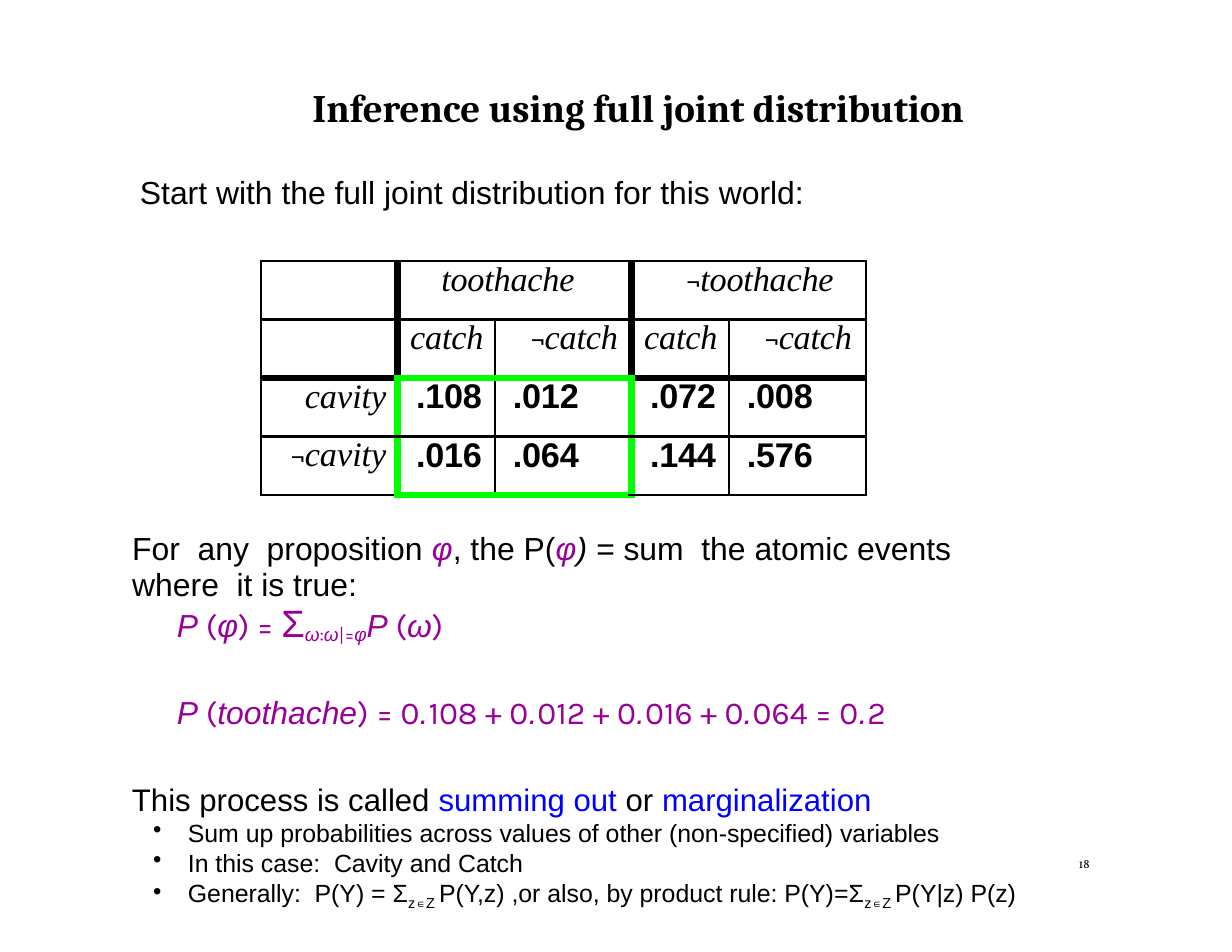
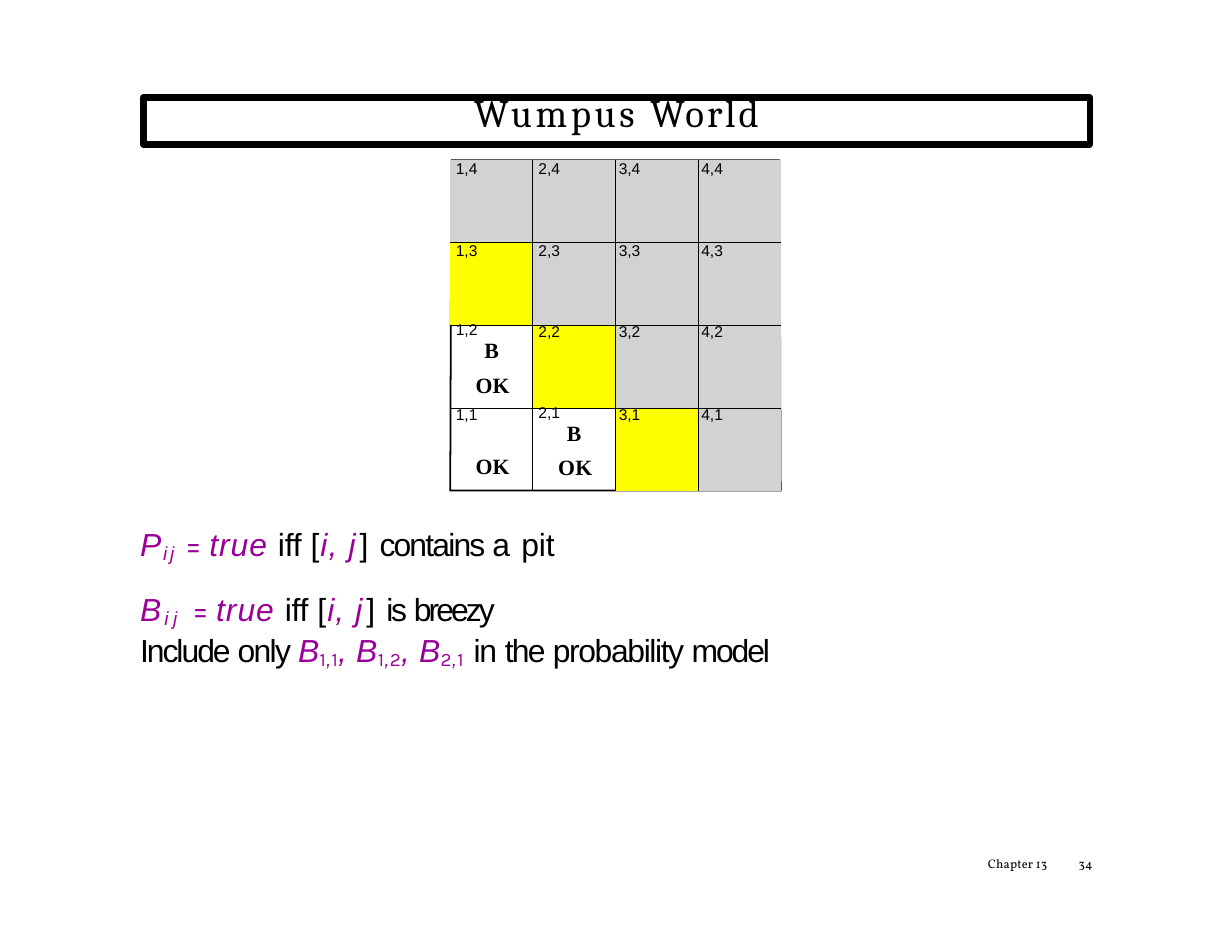
import pptx
import pptx.util
import pptx.dml.color
import pptx.enum.shapes
import pptx.enum.text
import pptx.oxml.ns
from lxml import etree

Inches = pptx.util.Inches
Pt = pptx.util.Pt
RGBColor = pptx.dml.color.RGBColor
ALIGN = pptx.enum.text.PP_ALIGN

BLACK = RGBColor(0x00, 0x00, 0x00)
PURPLE = RGBColor(0x99, 0x00, 0x99)
BLUE = RGBColor(0x00, 0x00, 0xFF)
GREEN = RGBColor(0x00, 0xFF, 0x00)
YELLOW = RGBColor(0xFF, 0xFF, 0x00)
GREY = RGBColor(0xD2, 0xD2, 0xD2)

TITLE = dict(font="Cambria", size=25)
FOOTER = dict(font="Vollkorn", size=8)
BODY = dict(font="Arial", size=20.5)
VAR = BODY | dict(color=PURPLE, italic=True)
MATH = BODY | dict(font="Karla", color=PURPLE)
SUB = VAR | dict(size=21, base=-14)
SUB_MATH = MATH | dict(size=21, base=-14)
INDEX = VAR | dict(size=21, base=-12)
INDEX_NUM = MATH | dict(size=21, base=-12, spc=0.2)
CLOSING = dict(font="Arial", size=20)
BULLET = dict(font="Arial", size=16)
BULLET_SUB = BULLET | dict(base=-25)
BULLET_IN = BULLET_SUB | dict(size=12)
NAME = dict(font="Times New Roman", size=22, italic=True, spc=-0.1)
NOT = dict(font="Calibri", size=18)
PROB = dict(font="Arial", size=22, bold=True, spc=-0.1)
ROOM = dict(font="Arial", size=10)
MARK = dict(font="Times New Roman", size=14, bold=True)


def add_run(p, text, font, size, color=BLACK, bold=False, italic=False, spc=0, base=0):
    """Append one styled run to a paragraph."""
    r = p.add_run()
    r.text = text
    r.font.name, r.font.size = font, Pt(size)
    r.font.bold, r.font.italic = bold, italic
    r.font.color.rgb = color
    rPr = r.font._element
    if spc:
        rPr.set("spc", str(round(spc * 100)))
    if base:
        rPr.set("baseline", str(base * 1000))


def add_para(tf, runs, left=0, hang=0, align=ALIGN.LEFT, line=None, before=0, bullet=None):
    """Fill the first empty paragraph, or add one, with (text, style) runs."""
    p = tf.paragraphs[0]
    if p.runs:
        p = tf.add_paragraph()
    p.alignment = align
    p.space_before = Pt(before)
    if line:
        p.line_spacing = Pt(line)
    pPr = p._p.get_or_add_pPr()
    pPr.set("marL", str(Inches(left)))
    pPr.set("indent", str(Inches(hang)))
    if bullet:
        etree.SubElement(pPr, pptx.oxml.ns.qn("a:buChar")).set("char", bullet)
    for text, style in runs:
        add_run(p, text, **style)


def set_insets(target, x=0, y=0):
    """Set the inner margins of a text frame or a cell."""
    target.margin_left = target.margin_right = Inches(x)
    target.margin_top = target.margin_bottom = Inches(y)


def add_text(s, box, inset_x=0, inset_y=0):
    """Add a wrapping text box and return its text frame."""
    tf = s.shapes.add_textbox(*map(Inches, box)).text_frame
    tf.word_wrap = True
    set_insets(tf, inset_x, inset_y)
    return tf


def add_footer(s, number, spc=0, chapter=None):
    """Place the page number and an optional chapter label."""
    add_para(add_text(s, (9.6, 7.66, 0.3, 0.14)), [(number, FOOTER | dict(spc=spc))], left=0.03, line=8.6)
    if chapter:
        add_para(add_text(s, (8.81, 7.66, 0.7, 0.14)), [(chapter, FOOTER | dict(spc=0.1))], left=0.01, line=8.6)


def add_plain_table(s, box, widths, rows):
    """Add a table without style bands or cell margins."""
    table = s.shapes.add_table(rows, len(widths), *map(Inches, box)).table
    table.first_row = table.horz_banding = False
    for col, width in zip(table.columns, widths):
        col.width = Inches(width)
    for row in table.rows:
        row.height = Inches(box[3] / rows)
    for cell in table.iter_cells():
        set_insets(cell)
    return table


def set_borders(cell, edges):
    """Draw left, right, top and bottom edges given as (colour, width) or None."""
    qn = pptx.oxml.ns.qn
    tcPr = cell._tc.get_or_add_tcPr()
    for side, edge in zip("LRTB", edges):
        ln = etree.SubElement(tcPr, qn("a:ln" + side))
        if edge is None:
            etree.SubElement(ln, qn("a:noFill"))
            continue
        color, width = edge
        ln.set("w", str(Pt(width)))
        fill = etree.SubElement(ln, qn("a:solidFill"))
        etree.SubElement(fill, qn("a:srgbClr")).set("val", str(color))


def joint_edge(line, other, heavy, green_lines, green_span):
    """Choose colour and width of one edge of the joint table."""
    if line in green_lines and other in green_span:
        return GREEN, 4.71
    return BLACK, 4.71 if line in heavy else 1.57


def joint_table(s, box):
    """Build the joint distribution with the summed cells framed in green."""
    table = add_plain_table(s, box, [1.22, 0.87, 1.22, 0.87, 1.22], 4)
    for c in (1, 3):
        table.cell(0, c).merge(table.cell(0, c + 1))
    for r in range(4):
        for c in range(5):
            cell = table.cell(r, c)
            if cell.is_spanned:
                continue
            right = c + (cell.span_width if cell.is_merge_origin else 1)
            set_borders(cell, [joint_edge(x, r, (1, 3), (1, 3), (2, 3)) for x in (c, right)]
                        + [joint_edge(y, c, (2,), (2, 4), (1, 2)) for y in (r, r + 1)])
            cell.fill.background()

    add_para(table.cell(0, 1).text_frame, [("toothache", NAME)], left=0.39, before=3)
    add_para(table.cell(0, 3).text_frame, [("¬", NOT), ("toothache", NAME)], left=0.49, before=3)
    for c in (1, 3):
        add_para(table.cell(1, c).text_frame, [("catch", NAME)], left=0.01, align=ALIGN.CENTER, before=3)
        add_para(table.cell(1, c + 1).text_frame, [("¬", NOT), ("catch", NAME)], left=0.32, before=3)

    cavity = ("cavity", NAME | dict(spc=0))
    rows = [([cavity], 1.5, 2, [".108", ".012", ".072", ".008"]),
            ([("¬", NOT), cavity], 3, 3.6, [".016", ".064", ".144", ".576"])]
    for r, (label, label_before, before, values) in enumerate(rows, 2):
        table.cell(r, 0).margin_right = Inches(0.1)
        add_para(table.cell(r, 0).text_frame, label, align=ALIGN.RIGHT, before=label_before)
        for c, value in enumerate(values, 1):
            left, align = (0.05, ALIGN.CENTER) if c % 2 else (0.16, ALIGN.LEFT)
            add_para(table.cell(r, c).text_frame, [(value, PROB)], left=left, align=align, before=before)


def proposition_text(s, box):
    """Write the summation rule and its worked example."""
    tf = add_text(s, box)
    add_para(tf, [("For  any  proposition ", BODY), ("φ", VAR), (", the P(", BODY), ("φ", VAR),
                  (") = ", BODY | dict(italic=True)),
                  ("sum  the atomic events  where  it is true:", BODY)], left=0.01, line=22.7)
    add_para(tf, [("P ", VAR), ("(", MATH), ("φ", VAR), (") = ", MATH),
                  ("Σ", VAR | dict(size=24.5, italic=False)),
                  ("ω", SUB), (":", SUB_MATH), ("ω", SUB), ("|", SUB_MATH | dict(font="Cambria")),
                  ("=", SUB_MATH), ("φ", SUB), ("P ", VAR), ("(", MATH), ("ω", VAR), (")", MATH)],
             left=0.41, line=27.5)
    total = [("P ", VAR), ("(", MATH), ("toothache", VAR), (") = 0", MATH)]
    for digits in ("108 + 0", "012 + 0", "016 + 0", "064 = 0", "2"):
        total += [(".", VAR), (digits, MATH)]
    add_para(tf, total, left=0.41, line=27.5, before=27.5)


def marginalization_text(s, box):
    """Write the closing definition with its bullets."""
    tf = add_text(s, box, 0.1, 0.05)
    term = CLOSING | dict(color=BLUE)
    add_para(tf, [("This process is called ", CLOSING), ("summing out", term),
                  (" or ", CLOSING), ("marginalization", term)])
    over_z = [("z", BULLET_SUB), ("∈", BULLET_IN), ("Z ", BULLET_SUB)]
    bullets = [
        [("Sum up probabilities across values of other (non-specified) variables", BULLET)],
        [("In this case:  Cavity and Catch", BULLET)],
        [("Generally:  P(Y) = Σ", BULLET), *over_z,
         ("P(Y,z) ,or also, by product rule: P(Y)=Σ", BULLET), *over_z, ("P(Y|z) P(z)", BULLET)],
    ]
    for runs in bullets:
        add_para(tf, runs, left=0.5, hang=-0.31, bullet="•")


def framed_title(s, box):
    """Draw the heavy title frame with spaced lettering."""
    sp = s.shapes.add_shape(pptx.enum.shapes.MSO_SHAPE.RECTANGLE, *map(Inches, box))
    sp.shadow.inherit = False
    sp.fill.background()
    sp.line.color.rgb = BLACK
    sp.line.width = Pt(4.08)
    tf = sp.text_frame
    tf.vertical_anchor = pptx.enum.text.MSO_ANCHOR.TOP
    set_insets(tf)
    add_para(tf, [("Wumpus ", TITLE | dict(spc=2.3)), ("World", TITLE | dict(spc=1.9))],
             align=ALIGN.CENTER, line=24.3)


def cave_outline(s, box):
    """Draw the slightly tapered outline around the cave."""
    x, y, w, h = map(Inches, box)
    taper = Inches(0.01)
    fb = s.shapes.build_freeform(x + taper, y)
    fb.add_line_segments([(x + w - taper, y), (x + w, y + h), (x, y + h)], close=True)
    sp = fb.convert_to_shape()
    sp.shadow.inherit = False
    sp.fill.background()
    sp.line.color.rgb = BLACK
    sp.line.width = Pt(1.14)


def cave_grid(s, box):
    """Build the four by four cave with visited and frontier rooms."""
    cave_outline(s, box)
    visited = {(1, 2): "B", (1, 1): None, (2, 1): "B"}
    frontier = {(1, 3), (2, 2), (3, 1)}
    line_heights = [11.4, 11.1, 10.3, 10.3]
    thin = (BLACK, 0.57)
    n = len(line_heights)
    table = add_plain_table(s, box, [box[2] / n] * n, n)
    for r in range(n):
        for c in range(n):
            cell = table.cell(r, c)
            room = (c + 1, n - r)
            inner = (c > 0, c < n - 1, r > 0, r < n - 1)
            set_borders(cell, [thin if inside else None for inside in inner])
            if room in visited:
                cell.fill.background()
            else:
                cell.fill.solid()
                cell.fill.fore_color.rgb = YELLOW if room in frontier else GREY
            breeze = visited.get(room)
            tf = cell.text_frame
            add_para(tf, [(f"{room[0]},{room[1]}", ROOM)], left=0.05 if c < 2 else 0.03,
                     line=8.9 if breeze else line_heights[r])
            if breeze:
                add_para(tf, [(breeze, MARK)], align=ALIGN.CENTER, line=15.4)
            if room in visited:
                add_para(tf, [("OK", MARK | dict(spc=0.1))], left=0.02, align=ALIGN.CENTER,
                         before=6.8 if breeze else 20)


def spaced(style, *pairs):
    """Turn (text, letter spacing) pairs into runs of one style."""
    return [(text, style | dict(spc=spc)) for text, spc in pairs]


def definition(letter, spc, index_spc, ending):
    """Return the runs that define one indexed variable."""
    return (spaced(VAR, (letter, spc)) + spaced(INDEX, ("ij ", index_spc))
            + spaced(MATH, ("= ", -0.1)) + spaced(VAR, ("true ", 0.6))
            + spaced(BODY, ("iff ", -0.1), ("[", 0.7)) + spaced(VAR, ("i, ", 0.7), ("j", 2.5))
            + spaced(BODY, ("] ", 0.7), *ending))


def variable_text(s, box):
    """Write the pit and breeze variables of the model."""
    tf = add_text(s, box)
    add_para(tf, definition("P", 1.2, 1.8, [("contains ", -1.2), ("a  ", -2.1), ("pit", -0.1)]), left=0.01)
    add_para(tf, definition("B", 2, 3, [("is ", -1.4), ("breezy", -1.9)]), left=0.01, before=15.6)
    runs = spaced(BODY, ("Include ", -1.3), ("only ", -1.1))
    for lead, i, j in (("B", "1", "1"), (", B", "1", "2"), (", B", "2", "1  ")):
        runs += spaced(VAR, (lead, 0.1)) + [(i, INDEX_NUM), (",", INDEX | dict(spc=0.2)), (j, INDEX_NUM)]
    runs += spaced(BODY, ("in ", -0.8), ("the ", -1.1), ("probability ", -0.9), ("model", -1.4))
    add_para(tf, runs, left=0.01, before=0.3)


def inference_slide(prs):
    """Build the slide on the full joint distribution."""
    s = prs.slides.add_slide(prs.slide_layouts[6])
    add_footer(s, "18")
    add_para(add_text(s, (0.83, 0.83, 8.45, 0.35)),
             [("Inference using full joint distribution", TITLE | dict(bold=True))], left=1.96, line=24.3)
    add_para(add_text(s, (1.24, 1.54, 6.76, 0.35)),
             [("Start with the full joint distribution for this world:", BODY)], left=0.01)
    proposition_text(s, (1.17, 4.75, 8.08, 1.79))
    joint_table(s, (2.33, 2.33, 5.4, 2.09))
    marginalization_text(s, (1.08, 6.92, 8.5, 1.28))


def wumpus_slide(prs):
    """Build the slide on the cave world."""
    s = prs.slides.add_slide(prs.slide_layouts[6])
    framed_title(s, (1.28, 0.87, 8.45, 0.42))
    cave_grid(s, (4.02, 1.43, 2.95, 2.95))
    add_footer(s, "34", 0.2, "Chapter 13")
    variable_text(s, (1.24, 4.68, 5.89, 1.3))


def main():
    """Create the presentation and save it."""
    prs = pptx.Presentation()
    prs.slide_width, prs.slide_height = Inches(11), Inches(8.5)
    inference_slide(prs)
    wumpus_slide(prs)
    prs.save("out.pptx")


if __name__ == "__main__":
    main()
